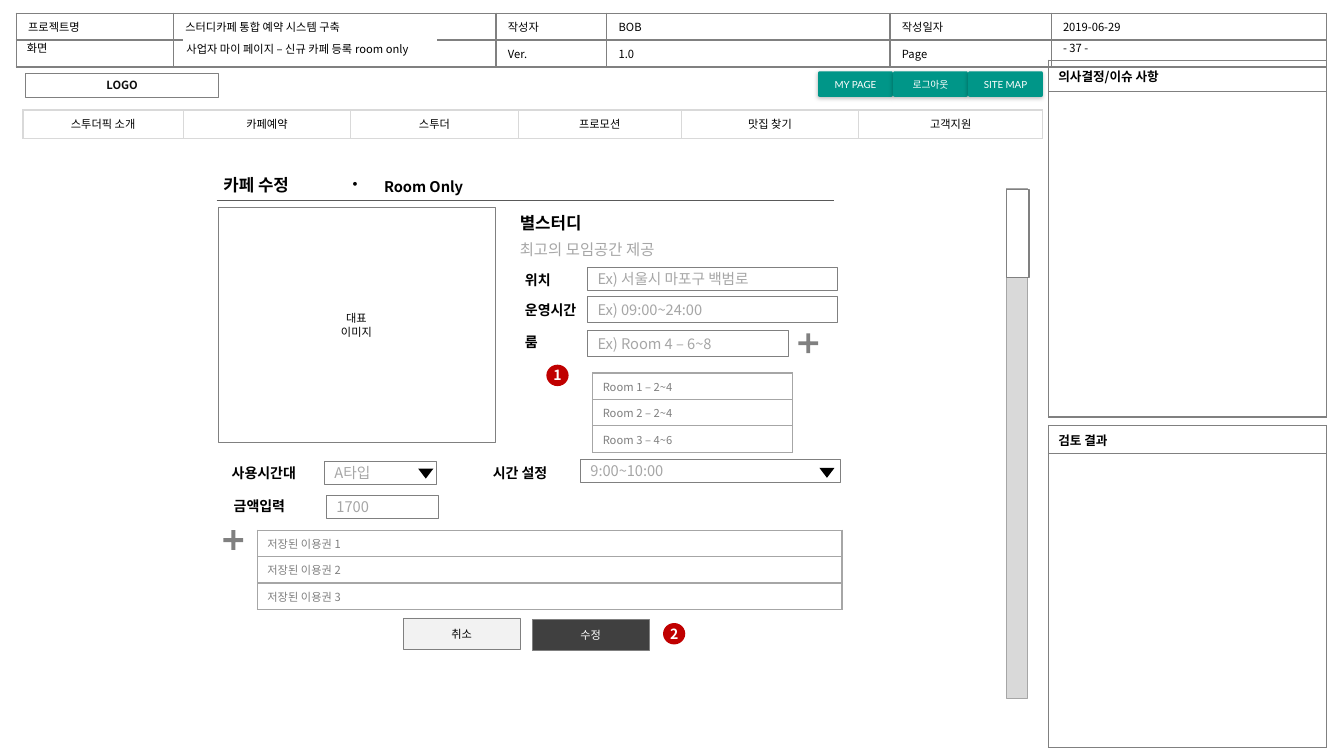
from lxml import etree
from pptx import Presentation
from pptx.dml.color import RGBColor
from pptx.enum.shapes import MSO_CONNECTOR, MSO_SHAPE as Preset
from pptx.enum.text import MSO_ANCHOR as Anchor, PP_ALIGN as Align
from pptx.oxml import parse_xml
from pptx.oxml.ns import nsdecls, qn
from pptx.util import Cm, Pt

FONT = "Noto Sans CJK KR"
BLACK, WHITE, GREY, LIGHT, PALE = "000000", "FFFFFF", "808080", "A6A6A6", "D9D9D9"


def paint(fill, colour):
    """Fill solidly with a hex colour, or clear the fill when there is none."""
    if colour:
        fill.solid()
        fill.fore_color.rgb = RGBColor.from_string(colour)
    else:
        fill.background()


def write(frame, text, size, colour=BLACK, bold=False, align=Align.LEFT, font=FONT):
    for number, line in enumerate(text.split("\n")):
        para = frame.add_paragraph() if number else frame.paragraphs[0]
        para.alignment = align
        if not line:
            para._p.get_or_add_endParaRPr().set("sz", str(size * 100))
            continue
        span = para.add_run()
        span.text = line
        for name, value in {"size": Pt(size), "bold": bold, "name": font}.items():
            setattr(span.font, name, value)
        paint(span.font.fill, colour)
        etree.SubElement(span._r.get_or_add_rPr(), qn("a:ea"), typeface=font)


deck = Presentation()
deck.slide_width, deck.slide_height = Cm(33.87), Cm(19.05)
page = deck.slides.add_slide(deck.slide_layouts[6])

# Tables: left, top, column widths, row heights, texts, border, fill, inset, anchor, font
header_font = {"size": 8}
panel_font = {"size": 9, "bold": True}
list_font = {"size": 8, "colour": GREY}
tables = [
    (0.41, 0.33, [3.96, 8.13, 2.79, 7.14, 4.06, 6.94], [0.68, 0.68],
     [["프로젝트명", "스터디카페 통합 예약 시스템 구축", "작성자", "BOB", "작성일자", "2019-06-29"],
      ["", "", "Ver.", "1.0", "Page", ""]],
     GREY, None, 0.3, Anchor.TOP, header_font),
    (26.42, 1.52, [7.01], [0.79, 8.2], [["의사결정/이슈 사항"], [""]],
     GREY, None, 0.25, Anchor.MIDDLE, panel_font),
    (26.42, 10.72, [7.01], [0.71, 7.4], [["검토 결과"], [""]],
     GREY, None, 0.25, Anchor.MIDDLE, panel_font),
    (0.58, 2.77, [4.04, 4.22, 4.22, 4.11, 4.47, 4.64], [0.71],
     [["스투더픽 소개", "카페예약", "스투더", "프로모션", "맛집 찾기", "고객지원"]],
     PALE, WHITE, 0.3, Anchor.MIDDLE, {"size": 8, "align": Align.CENTER}),
    (6.49, 13.36, [14.73], [0.6] * 3, [[f"저장된 이용권 {n}"] for n in (1, 2, 3)],
     LIGHT, WHITE, 0.25, Anchor.TOP, list_font),
    (14.94, 9.4, [5.03], [0.6] * 3,
     [["Room 1 – 2~4"], ["Room 2 – 2~4"], ["Room 3 – 4~6"]],
     LIGHT, WHITE, 0.25, Anchor.TOP, list_font),
]
for left, top, widths, heights, texts, border, fill, inset, anchor, font in tables:
    table = page.shapes.add_table(len(heights), len(widths), Cm(left), Cm(top),
                                  Cm(sum(widths)), Cm(sum(heights))).table
    table.first_row = table.horz_banding = False
    for column, width in zip(table.columns, widths):
        column.width = Cm(width)
    for row, height, row_texts in zip(table.rows, heights, texts):
        row.height = Cm(height)
        for cell, text in zip(row.cells, row_texts):
            for side in ("lnL", "lnR", "lnT", "lnB"):
                cell._tc.get_or_add_tcPr().append(parse_xml(
                    f'<a:{side} {nsdecls("a")} w="12700"><a:solidFill>'
                    f'<a:srgbClr val="{border}"/></a:solidFill></a:{side}>'))
            paint(cell.fill, fill)
            cell.margin_left = cell.margin_right = Cm(inset)
            cell.vertical_anchor = anchor
            write(cell.text_frame, text, **font)

title_rule = page.shapes.add_connector(MSO_CONNECTOR.STRAIGHT, Cm(5.46), Cm(5.05), Cm(21.01), Cm(5.05))
title_rule.line.width = Pt(0.5)
paint(title_rule.line.fill, "595959")
etree.SubElement(title_rule._element.spPr, qn("a:effectLst"))

# Styles: preset (None for a plain text box), fill, line, line width, inset, font
centred = {"size": 8, "align": Align.CENTER}
styles = {
    "small": (None, None, None, 0, 0.25, {"size": 8}),
    "label": (None, None, None, 0, 0.25, {"size": 10, "bold": True}),
    "title": (None, None, None, 0, 0.25, {"size": 12, "bold": True}),
    "bullet": (None, None, None, 0, 0.25, {"size": 10.5, "bold": True}),
    "tagline": (None, None, None, 0, 0.25, {"size": 11, "colour": LIGHT}),
    "logo": (Preset.RECTANGLE, None, GREY, 0.75, 0.25, {**centred, "bold": True, "colour": "0D0D0D"}),
    "cover": (Preset.RECTANGLE, WHITE, WHITE, 1, 0, centred),
    "field": (Preset.RECTANGLE, WHITE, GREY, 0.25, 0.25, {"size": 10.5, "colour": LIGHT}),
    "photo": (Preset.RECTANGLE, WHITE, GREY, 0.25, 0.25, centred),
    "save": (Preset.RECTANGLE, "404040", GREY, 0.25, 0.25, {**centred, "colour": WHITE}),
    "cancel": (Preset.RECTANGLE, "F2F2F2", GREY, 0.25, 0.25, centred),
    "track": (Preset.RECTANGLE, PALE, LIGHT, 0.5, 0, centred),
    "thumb": (Preset.RECTANGLE, WHITE, GREY, 1, 0, centred),
    "badge": (Preset.OVAL, "C00000", None, 0, 0,
              {"size": 10, "bold": True, "colour": WHITE, "align": Align.CENTER}),
    "plus": (Preset.CROSS, GREY, None, 0, 0, centred),
    "arrow": (Preset.ISOSCELES_TRIANGLE, BLACK, None, 0, 0, centred),
    "menu": (Preset.ROUNDED_RECTANGLE, "009688", None, 0, 0.2,
             {"size": 7, "colour": WHITE, "align": Align.CENTER, "font": "Lato"}),
}
boxes = [
    ("cover", "", 4.62, 0.97, 6.38, 0.48),
    ("small", "사업자 마이 페이지 – 신규 카페 등록 room only", 4.45, 0.97, 6.65, 0.51),
    ("small", "화면", 0.43, 0.91, 1.1, 0.61),
    ("small", "- 37 -", 26.54, 0.91, 2.72, 0.61),
    ("logo", "LOGO", 0.64, 1.85, 4.88, 0.61),
    ("title", "카페 수정", 5.38, 4.29, 3.84, 0.76),
    ("bullet", "Room Only", 8.64, 4.34, 5.44, 0.71),
    ("photo", "대표\n이미지", 5.49, 5.23, 6.99, 5.92),
    ("title", "별스터디", 12.85, 5.23, 3.63, 0.76),
    ("tagline", "최고의 모임공간 제공", 12.85, 5.92, 7.57, 0.74),
    ("field", "Ex) 서울시 마포구 백범로", 14.81, 6.73, 6.3, 0.58),
    ("field", "Ex) 09:00~24:00", 14.81, 7.47, 6.3, 0.66),
    ("field", "Ex) Room 4 – 6~8", 14.81, 8.33, 5.05, 0.64),
    ("label", "위치", 12.98, 6.71, 2.13, 0.69),
    ("label", "운영시간", 12.98, 7.47, 2.13, 0.69),
    ("label", "룸", 12.98, 8.26, 2.13, 0.69),
    ("field", "A타입", 8.18, 11.63, 2.82, 0.58),
    ("field", "1700", 8.23, 12.47, 2.82, 0.58),
    ("field", "9:00~10:00", 14.63, 11.56, 6.55, 0.58),
    ("label", "사용시간대", 5.59, 11.56, 3.63, 0.69),
    ("label", "금액입력", 5.64, 12.4, 3.63, 0.69),
    ("label", "시간 설정", 12.17, 11.56, 3.63, 0.69),
    ("arrow", "", 10.54, 11.81, 0.38, 0.25),
    ("arrow", "", 20.65, 11.79, 0.38, 0.25),
    ("plus", "", 5.63, 13.36, 0.5, 0.5),
    ("plus", "", 20.12, 8.4, 0.5, 0.5),
    ("cancel", "취소", 10.16, 15.57, 2.95, 0.79),
    ("save", "수정", 13.41, 15.6, 2.95, 0.79),
    ("badge", "1", 13.77, 9.19, 0.56, 0.54),
    ("badge", "2", 16.71, 15.7, 0.56, 0.54),
    ("track", "", 25.37, 4.75, 0.51, 12.85),
    ("thumb", "", 25.37, 4.78, 0.56, 2.21),
]
for number, text in enumerate(["MY PAGE", "로그아웃", "SITE MAP"]):
    boxes.append(("menu", text, 20.62 + 1.89 * number, 1.8, 1.88, 0.64))

for style, text, *place in boxes:
    preset, fill, line, width, inset, font = styles[style]
    place = [Cm(length) for length in place]
    if preset is None:
        box = page.shapes.add_textbox(*place)
    else:
        box = page.shapes.add_shape(preset, *place)
        box.shadow.inherit = False
        paint(box.fill, fill)
        paint(box.line.fill, line)
        if line:
            box.line.width = Pt(width)
    frame = box.text_frame
    frame.word_wrap = True
    frame.vertical_anchor = Anchor.MIDDLE
    frame.margin_left = frame.margin_right = Cm(inset)
    if style == "arrow":
        box.rotation = 180
    elif style == "plus":
        box.adjustments[0] = 0.4
    elif style == "menu":
        box.adjustments[0] = 0.05
        box._element.spPr.find(qn("a:effectLst")).append(parse_xml(
            f'<a:outerShdw {nsdecls("a")} blurRad="38100" dist="12700" dir="5400000">'
            '<a:srgbClr val="000000"><a:alpha val="25000"/></a:srgbClr></a:outerShdw>'))
    elif style == "bullet":
        properties = frame.paragraphs[0]._p.get_or_add_pPr()
        properties.set("marL", str(Cm(0.79)))
        properties.set("indent", str(-Cm(0.79)))
        etree.SubElement(properties, qn("a:buChar"), char="•")
    if text:
        write(frame, text, **font)

deck.save("out.pptx")
